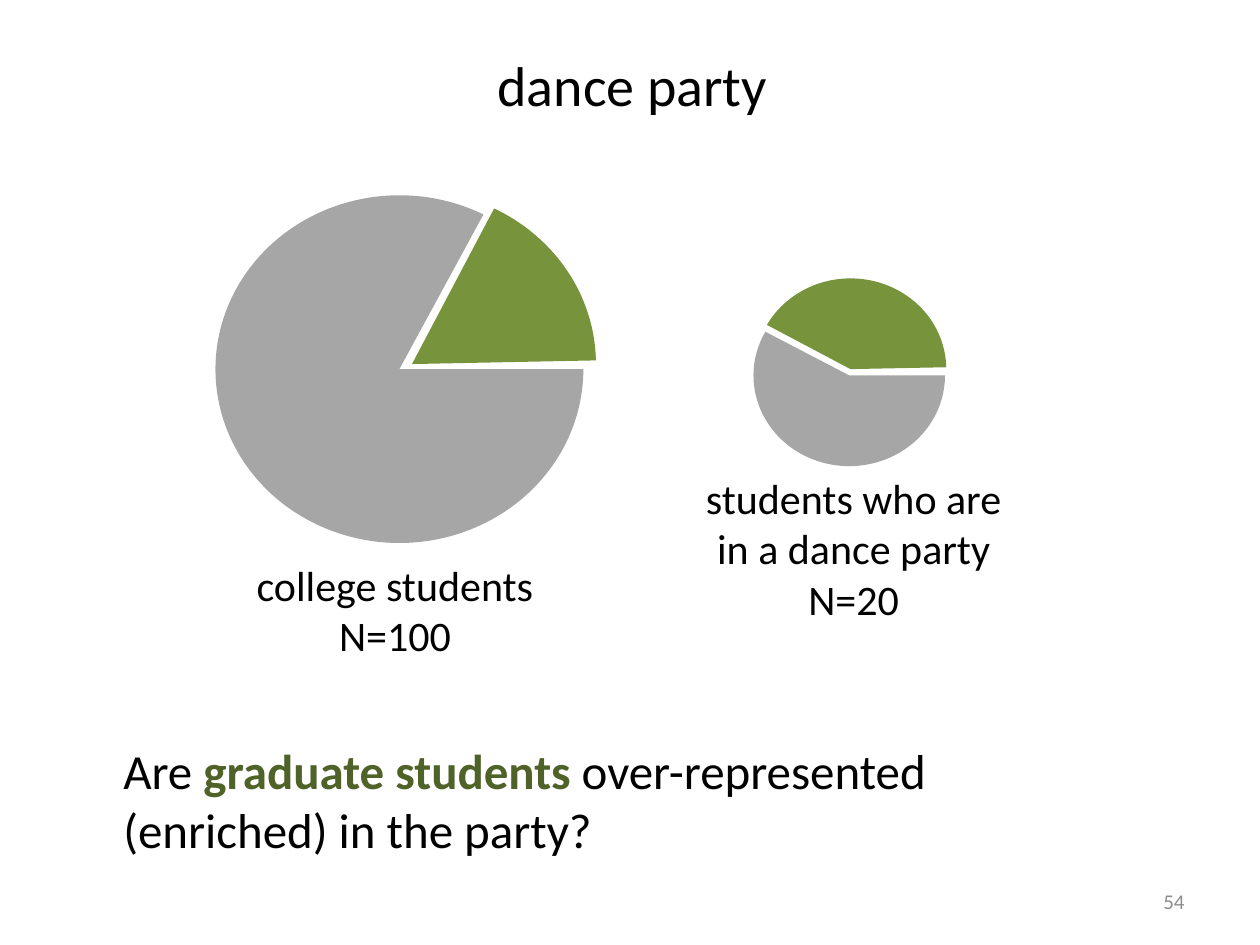
from dataclasses import dataclass

from pptx import Presentation
from pptx.dml.color import RGBColor
from pptx.enum.shapes import MSO_SHAPE
from pptx.enum.text import MSO_ANCHOR, PP_ALIGN
from pptx.util import Inches, Pt

PIE = MSO_SHAPE.PIE
LEFT, CENTER, RIGHT = PP_ALIGN.LEFT, PP_ALIGN.CENTER, PP_ALIGN.RIGHT
TOP, MIDDLE = MSO_ANCHOR.TOP, MSO_ANCHOR.MIDDLE
TITLE_ONLY = 5


@dataclass(frozen=True)
class Theme:
    font: str = "Calibri"
    text: str = "000000"
    emphasis: str = "4F6228"
    others: str = "A6A6A6"
    graduates: str = "77933C"
    muted: str = "8C8C8C"
    title_size: int = 32
    question_size: int = 28
    label_size: int = 24
    number_size: int = 12


class SlideBuilder:
    def __init__(self, slide, theme):
        self.slide = slide
        self.theme = theme

    def place(self, shape, box):
        for name, value in zip(("left", "top", "width", "height"), box):
            setattr(shape, name, Inches(value))

    def fill_text(self, frame, paragraphs, size, align, anchor):
        """Each paragraph is a list of (text, color, bold) runs."""
        frame.vertical_anchor = anchor
        for index, runs in enumerate(paragraphs):
            paragraph = frame.add_paragraph() if index else frame.paragraphs[0]
            paragraph.alignment = align
            for text, color, bold in runs:
                run = paragraph.add_run()
                run.text = text
                font_format = {"name": self.theme.font, "size": Pt(size), "bold": bold}
                for name, value in font_format.items():
                    setattr(run.font, name, value)
                run.font.color.rgb = RGBColor.from_string(color)

    def title(self, text, box):
        title = self.slide.shapes.title
        self.place(title, box)
        runs = [(text, self.theme.text, False)]
        self.fill_text(title.text_frame, [runs], self.theme.title_size, CENTER, MIDDLE)

    def text(self, paragraphs, box, size, align=LEFT, anchor=TOP, wrap=True):
        text_box = self.slide.shapes.add_textbox(*map(Inches, box))
        text_box.text_frame.word_wrap = wrap
        self.fill_text(text_box.text_frame, paragraphs, size, align, anchor)

    def label(self, lines, box, wrap=True):
        paragraphs = [[(line, self.theme.text, False)] for line in lines]
        self.text(paragraphs, box, self.theme.label_size, CENTER, wrap=wrap)

    def sector(self, box, start, end, color):
        """Draw a pie sector clockwise between two angles in degrees."""
        sector = self.slide.shapes.add_shape(PIE, *map(Inches, box))
        for index, degrees in enumerate((start, end)):
            # Angles are stored in 60000ths of a degree, adjustments in 100000ths
            sector.adjustments[index] = degrees * 0.6
        sector.shadow.inherit = False
        sector.fill.solid()
        sector.fill.fore_color.rgb = RGBColor.from_string(color)
        sector.line.fill.background()


def main():
    theme = Theme()
    presentation = Presentation()
    presentation.slide_width, presentation.slide_height = Inches(10), Inches(7.5)
    slide = presentation.slides.add_slide(presentation.slide_layouts[TITLE_ONLY])
    builder = SlideBuilder(slide, theme)

    builder.title("dance party", (0.52, 0.3, 9, 0.74))

    # All college students
    builder.sector((1.71, 1.55, 2.92, 2.76), 0, 298.53, theme.others)
    builder.sector((1.81, 1.51, 2.92, 2.76), 297.83, 358.87, theme.graduates)
    builder.label(["college students", "N=100"], (1.92, 4.39, 2.43, 0.91), wrap=False)

    # Students at the party
    builder.sector((5.98, 2.26, 1.52, 1.44), 0, 207.52, theme.others)
    builder.sector((5.99, 2.21, 1.52, 1.44), 207.89, 358.87, theme.graduates)
    builder.label(["students who are in a dance party", "N=20"], (5.47, 3.7, 2.61, 1.31))

    # Question
    question = [
        ("Are ", theme.text, False),
        ("graduate students ", theme.emphasis, True),
        ("over-represented (enriched) in the party?", theme.text, False),
    ]
    builder.text([question], (0.88, 5.83, 8.09, 1.04), theme.question_size)

    # Slide number
    builder.text([[("54", theme.muted, False)]], (7.17, 6.95, 2.33, 0.4),
                 theme.number_size, RIGHT, MIDDLE)

    presentation.save("out.pptx")


if __name__ == "__main__":
    main()
